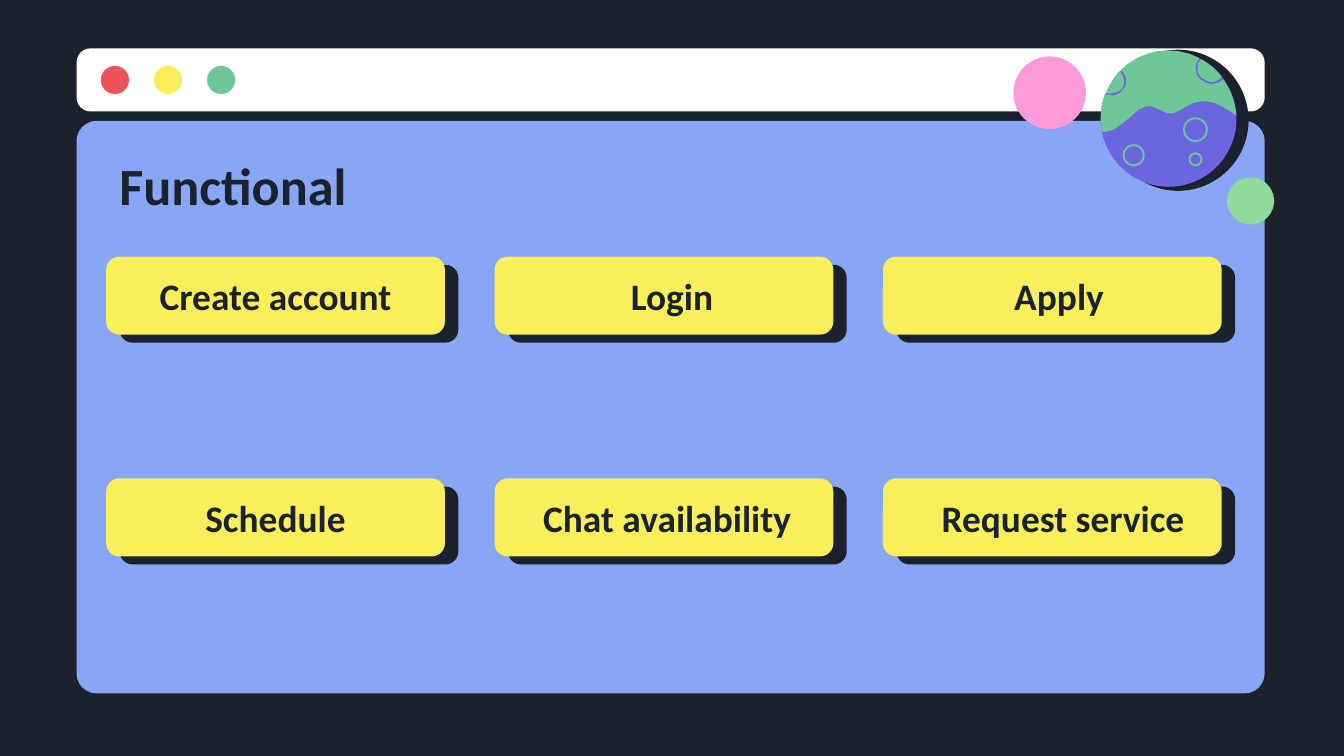
from dataclasses import dataclass

import pptx
import pptx.dml.color
import pptx.enum.shapes
import pptx.enum.text
import pptx.util

Inches = pptx.util.Inches
Kind = pptx.enum.shapes.MSO_SHAPE
Align = pptx.enum.text.PP_ALIGN
Point = tuple[float, float]

HUES = {
    "ink": "1B222D", "blue": "88A6F3", "white": "FFFFFF", "red": "EB5358",
    "yellow": "F8EF5B", "green": "6DC797", "purple": "6D65E0",
    "lime": "92D99C", "pink": "FF9BDA",
}


@dataclass
class Disc:
    left: float
    top: float
    size: float
    hue: str


@dataclass
class Button:
    text: str
    col: int
    row: int
    left: float
    width: float = 2.12


LIGHTS = [Disc(0.75 + 0.395 * i, 0.49, 0.21, hue)
          for i, hue in enumerate(("red", "yellow", "green"))]
GLOBE = [Disc(8.24, 0.37, 1.05, "ink"), Disc(8.19, 0.38, 1.01, "purple")]
RINGS = [Disc(8.36, 1.08, 0.15, "green"), Disc(8.81, 0.88, 0.17, "green"),
         Disc(8.85, 1.14, 0.09, "green")]
MOONS = [Disc(9.13, 1.32, 0.35, "lime"), Disc(7.54, 0.42, 0.54, "pink")]

BUTTONS = [
    Button("Create account", 0, 0, 0.99),
    Button("Login", 1, 0, 3.94),
    Button("Apply", 2, 0, 6.82),
    Button("Schedule", 0, 1, 0.99),
    Button("Chat availability", 1, 1, 3.43, 3.07),
    Button("Request service", 2, 1, 6.46, 2.9),
]

LAND = [
    [(8.2, 0.98), (8.18, 0.89), (8.19, 0.79), (8.22, 0.7),
     (8.25, 0.71), (8.27, 0.71), (8.29, 0.71),
     (8.32, 0.7), (8.34, 0.69), (8.36, 0.66),
     (8.38, 0.64), (8.38, 0.61), (8.38, 0.58),
     (8.37, 0.56), (8.36, 0.54), (8.34, 0.52),
     (8.49, 0.37), (8.73, 0.33), (8.92, 0.43),
     (8.92, 0.43), (8.92, 0.44), (8.92, 0.44),
     (8.9, 0.47), (8.89, 0.5), (8.9, 0.53),
     (8.9, 0.56), (8.92, 0.59), (8.95, 0.6),
     (8.97, 0.62), (9.01, 0.63), (9.04, 0.62),
     (9.06, 0.62), (9.08, 0.61), (9.1, 0.59),
     (9.16, 0.67), (9.19, 0.76), (9.2, 0.86),
     (9.02, 0.73), (8.93, 0.72), (8.78, 0.82),
     (8.63, 0.92), (8.6, 0.67), (8.41, 0.87),
     (8.31, 0.96), (8.25, 0.99), (8.2, 0.98)],
    [(8.23, 0.69), (8.25, 0.7), (8.27, 0.7), (8.29, 0.69),
     (8.31, 0.69), (8.33, 0.68), (8.35, 0.66),
     (8.36, 0.63), (8.37, 0.61), (8.36, 0.59),
     (8.36, 0.57), (8.35, 0.55), (8.33, 0.53),
     (8.31, 0.55), (8.29, 0.58), (8.28, 0.6),
     (8.26, 0.63), (8.24, 0.66), (8.23, 0.69)],
    [(8.94, 0.44), (8.93, 0.44), (8.93, 0.45), (8.93, 0.45),
     (8.91, 0.47), (8.91, 0.5), (8.91, 0.53),
     (8.92, 0.55), (8.93, 0.58), (8.96, 0.59),
     (8.98, 0.61), (9.01, 0.61), (9.03, 0.61),
     (9.06, 0.6), (9.08, 0.59), (9.09, 0.57),
     (9.06, 0.53), (9.02, 0.49), (8.97, 0.46),
     (8.96, 0.45), (8.95, 0.45), (8.94, 0.44)],
]


def tint(hue: str) -> pptx.dml.color.RGBColor:
    return pptx.dml.color.RGBColor.from_string(HUES[hue])


def paint(shape, hue: str) -> None:
    shape.shadow.inherit = False
    shape.fill.solid()
    shape.fill.fore_color.rgb = tint(hue)
    shape.line.fill.background()


def draw_panel(shapes, left: float, top: float, width: float, height: float,
               curve: float, hue: str) -> None:
    panel = shapes.add_shape(Kind.ROUNDED_RECTANGLE, Inches(left), Inches(top),
                             Inches(width), Inches(height))
    panel.adjustments[0] = curve
    paint(panel, hue)


def draw_disc(shapes, disc: Disc, hollow: bool = False) -> None:
    shape = shapes.add_shape(Kind.OVAL, Inches(disc.left), Inches(disc.top),
                             Inches(disc.size), Inches(disc.size))
    paint(shape, disc.hue)
    if hollow:
        shape.fill.background()
        shape.line.color.rgb = tint(disc.hue)
        shape.line.width = pptx.util.Pt(1)


def trace(nodes: list[Point], steps: int = 8) -> list[Point]:
    spots = []
    for i in range(0, len(nodes) - 1, 3):
        for step in range(1, steps + 1):
            t = step / steps
            parts = ((1 - t) ** 3, 3 * t * (1 - t) ** 2, 3 * t ** 2 * (1 - t), t ** 3)
            x, y = (sum(part * node[axis] for part, node in zip(parts, nodes[i:i + 4]))
                    for axis in (0, 1))
            spots.append((Inches(x), Inches(y)))
    return spots


def draw_land(shapes, curves: list[list[Point]], hue: str) -> None:
    pen = None
    for nodes in curves:
        x, y = map(Inches, nodes[0])
        if pen is None:
            pen = shapes.build_freeform(x, y)
        else:
            pen.move_to(x, y)
        pen.add_line_segments(trace(nodes), close=True)
    paint(pen.convert_to_shape(), hue)


def write(shapes, text: str, left: float, top: float, width: float,
          height: float, size: int, align: Align) -> None:
    box = shapes.add_textbox(Inches(left), Inches(top), Inches(width), Inches(height))
    frame = box.text_frame
    frame.word_wrap = True
    frame.vertical_anchor = pptx.enum.text.MSO_ANCHOR.MIDDLE
    frame.margin_left = frame.margin_right = Inches(0.1)
    frame.margin_top = frame.margin_bottom = Inches(0.1)
    frame.text = text
    line = frame.paragraphs[0]
    line.alignment = align
    font = line.runs[0].font
    font.name = "Calibri"
    font.size = pptx.util.Pt(size)
    font.bold = True
    font.color.rgb = tint("ink")


def draw_button(shapes, button: Button) -> None:
    left, top = 0.79 + 2.89 * button.col, 1.91 + 1.65 * button.row
    for shift, drop, hue in ((0.1, 0.06, "ink"), (0, 0, "yellow")):
        draw_panel(shapes, left + shift, top + drop, 2.52, 0.58, 0.167, hue)
    write(shapes, button.text, button.left, top, button.width, 0.58, 20, Align.CENTER)


def main() -> None:
    deck = pptx.Presentation()
    deck.slide_width = Inches(10)
    deck.slide_height = Inches(10) * 9 // 16
    slide = deck.slides.add_slide(deck.slide_layouts[6])
    slide.background.fill.solid()
    slide.background.fill.fore_color.rgb = tint("ink")
    shapes = slide.shapes

    draw_panel(shapes, 0.57, 0.9, 8.84, 4.26, 0.035, "blue")
    draw_panel(shapes, 0.57, 0.36, 8.84, 0.47, 0.223, "white")
    for disc in LIGHTS + GLOBE:
        draw_disc(shapes, disc)
    for ring in RINGS:
        draw_disc(shapes, ring, hollow=True)
    draw_land(shapes, LAND, "green")
    for moon in MOONS:
        draw_disc(shapes, moon)
    write(shapes, "Functional", 0.79, 1.06, 8.43, 0.62, 28, Align.LEFT)
    for button in BUTTONS:
        draw_button(shapes, button)

    deck.save("out.pptx")


if __name__ == "__main__":
    main()
